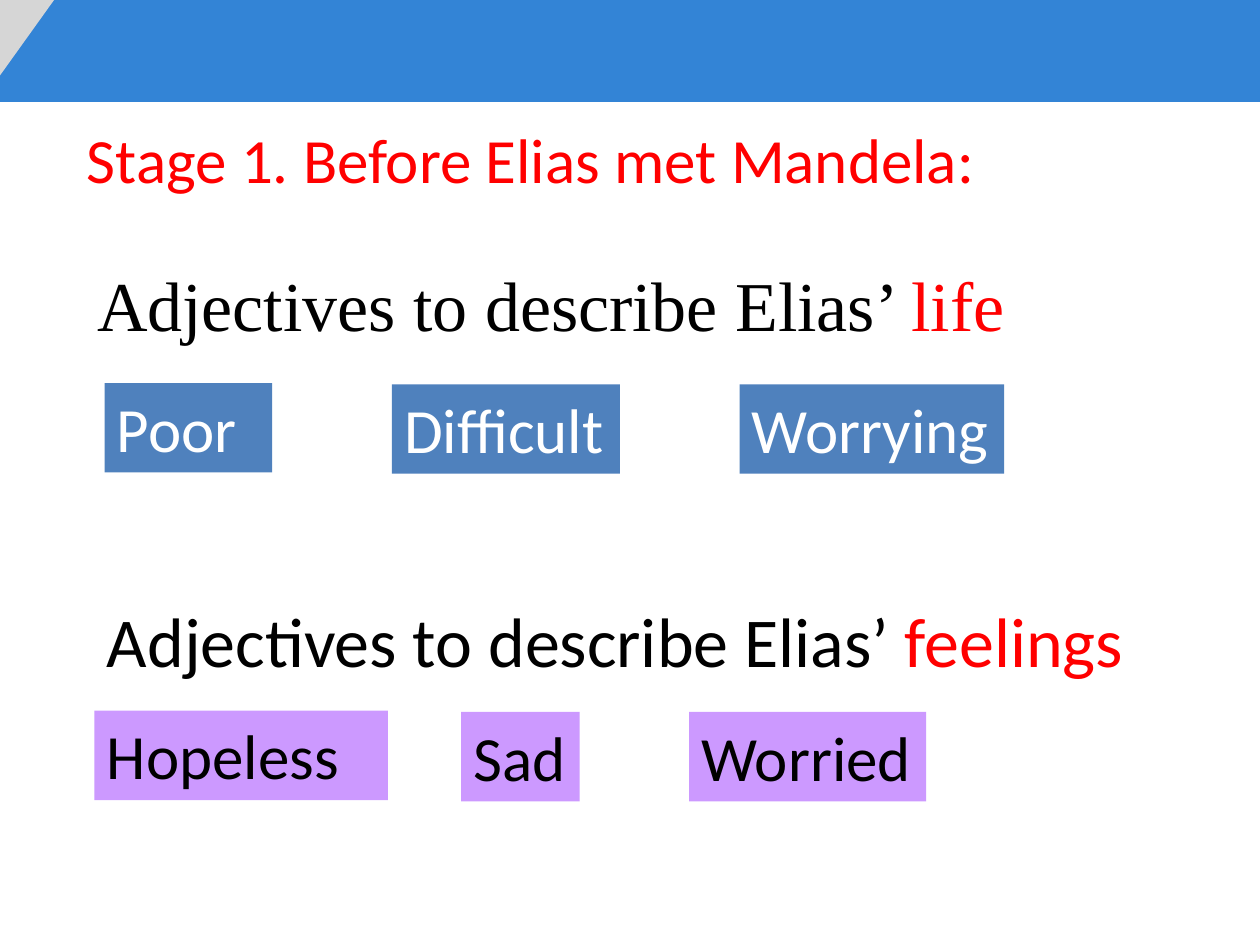
from dataclasses import dataclass

from lxml.etree import SubElement
from pptx import Presentation
from pptx.dml.color import RGBColor
from pptx.enum.shapes import MSO_SHAPE
from pptx.enum.text import MSO_ANCHOR, MSO_AUTO_SIZE, PP_ALIGN
from pptx.oxml.ns import qn
from pptx.util import Inches, Pt


@dataclass(frozen=True)
class Theme:
    band: str = "0066CC"
    corner: str = "D6D6D6"
    life: str = "4F81BD"
    feeling: str = "CC99FF"
    accent: str = "FF0000"
    dark: str = "000000"
    light: str = "FFFFFF"
    sans: str = "Calibri"
    serif: str = "Times New Roman"
    heading: int = 40
    label: int = 36


class Board:
    COLUMNS = 100
    ROWS = 75

    def __init__(self, deck, theme):
        self.deck = deck
        self.theme = theme
        self.slide = deck.slides.add_slide(deck.slide_layouts[1])

    def area(self, column, row, columns, rows):
        across = self.deck.slide_width / self.COLUMNS
        down = self.deck.slide_height / self.ROWS
        return [round(part) for part in (column * across, row * down, columns * across, rows * down)]

    def block(self, area, color, preset=MSO_SHAPE.RECTANGLE):
        block = self.slide.shapes.add_shape(preset, *self.area(*area))
        block.shadow.inherit = False
        block.fill.solid()
        block.fill.fore_color.rgb = RGBColor.from_string(color)
        block.line.fill.background()
        return block

    def band(self, area, opacity):
        band = self.block(area, self.theme.band)
        color = band._element.spPr.find(qn("a:solidFill"))[0]
        SubElement(color, qn("a:alpha"), val=str(opacity * 1000))

    def corner(self, area):
        corner = self.block(area, self.theme.corner, MSO_SHAPE.RIGHT_TRIANGLE)
        corner._element.spPr.xfrm.set("flipV", "1")

    def fill_text(self, holder, parts, size, font, wrap=True, spacing=1.0):
        frame = holder.text_frame
        paragraph = frame.paragraphs[0]
        frame_format = {
            "word_wrap": wrap,
            "auto_size": MSO_AUTO_SIZE.NONE,
            "vertical_anchor": MSO_ANCHOR.TOP,
        }
        paragraph_format = {
            "alignment": PP_ALIGN.LEFT,
            "space_before": Pt(0),
            "line_spacing": spacing,
        }
        for target, values in ((frame, frame_format), (paragraph, paragraph_format)):
            for key, value in values.items():
                setattr(target, key, value)
        for words, color in parts:
            run = paragraph.add_run()
            run.text = words
            for key, value in {"size": Pt(size), "name": font}.items():
                setattr(run.font, key, value)
            run.font.color.rgb = RGBColor.from_string(color)
        return paragraph

    def place(self, holder, area):
        for key, value in zip(("left", "top", "width", "height"), self.area(*area)):
            setattr(holder, key, value)

    def title(self, area, words):
        title = self.slide.shapes.title
        self.place(title, area)
        self.fill_text(title, [(words, self.theme.accent)], self.theme.label, self.theme.sans, wrap=False)

    def body(self, area, parts):
        body = self.slide.placeholders[1]
        self.place(body, area)
        paragraph = self.fill_text(body, parts, self.theme.heading, self.theme.serif, spacing=0.9)
        properties = paragraph._p.get_or_add_pPr()
        for key, value in {"marL": Inches(0.38), "indent": -Inches(0.38)}.items():
            properties.set(key, str(int(value)))
        SubElement(properties, qn("a:buNone"))

    def heading(self, area, parts):
        heading = self.slide.shapes.add_textbox(*self.area(*area))
        self.fill_text(heading, parts, self.theme.heading, self.theme.sans)

    def labels(self, row, words, fill, color):
        for position, (word, column, columns) in enumerate(words):
            first = position == 0
            label = self.block((column, row if first else row + 0.1, columns, 7.1), fill)
            self.fill_text(label, [(word, color)], self.theme.label, self.theme.sans, wrap=first)


def main():
    deck = Presentation()
    deck.slide_width, deck.slide_height = Inches(10), Inches(7.5)
    theme = Theme()
    board = Board(deck, theme)
    lead = ("Adjectives to describe Elias’ ", theme.dark)

    board.band((0, 0, 100, 8.1), opacity=80)
    board.corner((0, 0, 4.3, 6))
    board.title((5.9, 9.1, 73.1, 7.1), "Stage 1. Before Elias met Mandela:")
    board.body((6.7, 21, 80, 7.5), [lead, ("life", theme.accent)])
    board.labels(
        30.4,
        [("Poor", 8.3, 13.3), ("Difficult", 31.1, 18.1), ("Worrying", 58.7, 21)],
        theme.life,
        theme.light,
    )
    board.heading((7.5, 46.9, 84, 7.7), [lead, ("feelings", theme.accent)])
    board.labels(
        56.4,
        [("Hopeless", 7.5, 23.3), ("Sad", 36.6, 9.4), ("Worried", 54.7, 18.8)],
        theme.feeling,
        theme.dark,
    )
    deck.save("out.pptx")


if __name__ == "__main__":
    main()
